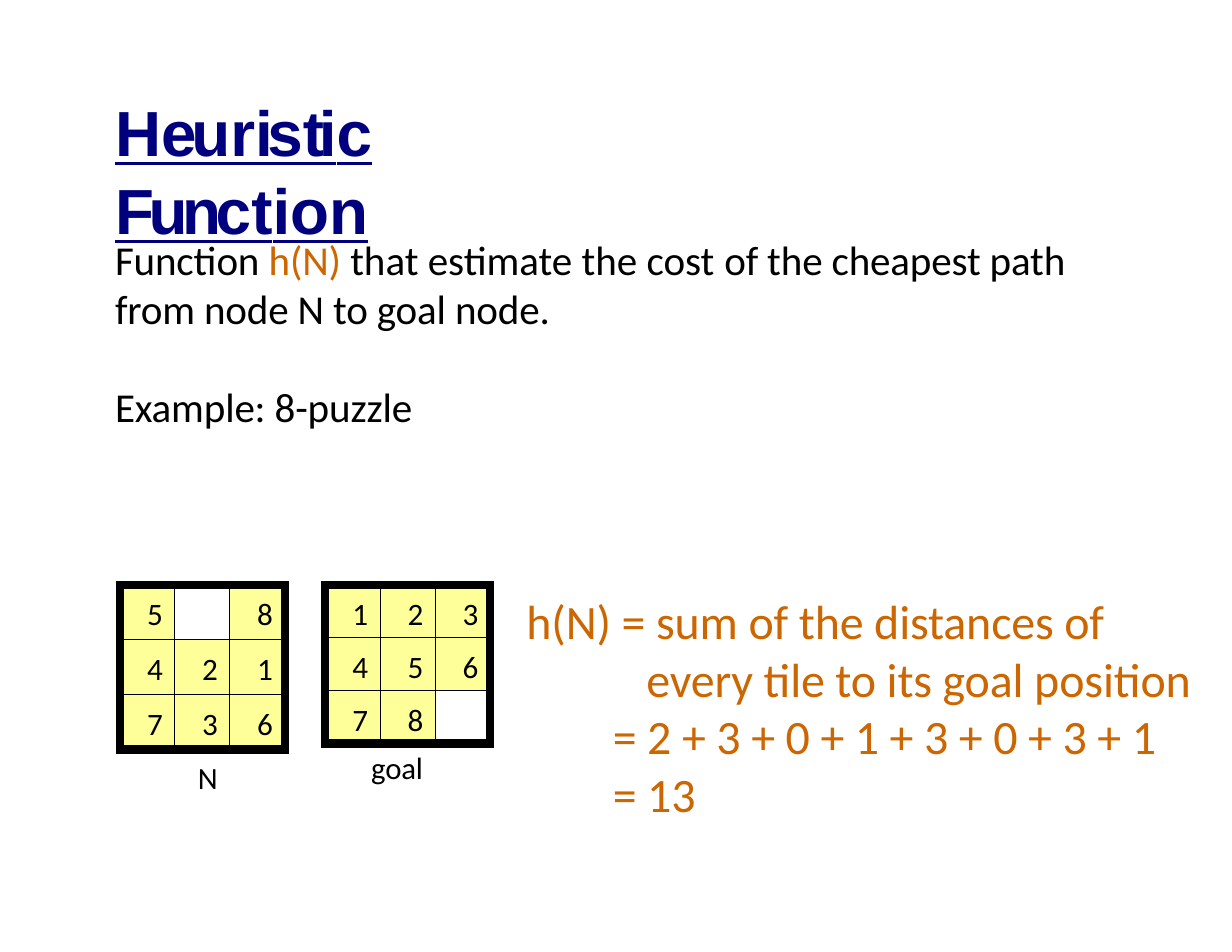
from dataclasses import dataclass
from itertools import cycle

from lxml import etree
from pptx import Presentation
from pptx import util as u
from pptx.dml.color import RGBColor
from pptx.enum import text as t
from pptx.oxml import ns


@dataclass(frozen=True)
class Theme:
    navy: str = "00007F"
    orange: str = "CC6600"
    black: str = "000000"
    tile: str = "FFFF99"
    heading_font: str = "Arial"
    body_font: str = "Calibri"
    title: float = 41
    formula: float = 30.8
    body: float = 26.4
    digit: float = 20
    label: float = 19.8
    thick: float = 6
    thin: float = 0.75


@dataclass(frozen=True)
class Box:
    left: float
    top: float
    width: float
    height: float


@dataclass(frozen=True)
class Puzzle:
    box: Box
    rows: tuple[str, ...]
    label: str
    label_box: Box


THEME = Theme()
TITLE_PIECES = ("H", "eu", "r", "is", "ti", "c", " ", "Func", "t", "i", "o", "n")
PUZZLES = (
    Puzzle(Box(7.37, 13.26, 3.75, 3.6), ("123", "456", "78 "),
           "goal", Box(8.38, 16.92, 1.27, 0.89)),
    Puzzle(Box(2.72, 13.26, 3.74, 3.74), ("5 8", "421", "736"),
           "N", Box(4.45, 17.15, 0.53, 0.89)),
)


def write(para, text: str, *, size: float, color: str = THEME.black,
          font: str = THEME.body_font, bold: bool = False,
          underline: bool = False, tracking: float = 0) -> None:
    span = para.add_run()
    span.text = text
    span.font.name = font
    span.font.size = u.Pt(size)
    span.font.bold = bold
    span.font.underline = underline
    span.font.color.rgb = RGBColor.from_string(color)
    span.font._element.set("spc", str(round(tracking * 100)))


def add_box(page, box: Box, inset: float = 0.05):
    shape = page.shapes.add_textbox(
        u.Cm(box.left), u.Cm(box.top), u.Cm(box.width), u.Cm(box.height))
    frame = shape.text_frame
    frame.word_wrap = True
    frame.vertical_anchor = t.MSO_ANCHOR.TOP
    frame.margin_left = frame.margin_right = frame.margin_bottom = 0
    frame.margin_top = u.Cm(inset)
    return frame


def indent(para, left: float, first: float = 0) -> None:
    properties = para._p.get_or_add_pPr()
    properties.set("marL", str(u.Cm(left)))
    properties.set("indent", str(u.Cm(first)))


def set_border(cell, side: str, width: float) -> None:
    properties = cell._tc.get_or_add_tcPr()
    line = etree.SubElement(properties, ns.qn(f"a:ln{side}"), w=str(u.Pt(width)))
    fill = etree.SubElement(line, ns.qn("a:solidFill"))
    etree.SubElement(fill, ns.qn("a:srgbClr"), val=THEME.black)


def add_puzzle(page, puzzle: Puzzle) -> None:
    box, count = puzzle.box, len(puzzle.rows)
    last = count - 1
    table = page.shapes.add_table(
        count, count, u.Cm(box.left), u.Cm(box.top),
        u.Cm(box.width), u.Cm(box.height)).table
    table.first_row = table.horz_banding = False
    for row, digits in enumerate(puzzle.rows):
        for column, digit in enumerate(digits):
            cell = table.cell(row, column)
            cell.margin_left = cell.margin_bottom = 0
            cell.margin_top = u.Cm(0.25)
            cell.margin_right = u.Cm(0.27)
            outer = {"L": column == 0, "R": column == last,
                     "T": row == 0, "B": row == last}
            for side, is_outer in outer.items():
                set_border(cell, side, THEME.thick if is_outer else THEME.thin)
            if digit == " ":
                cell.fill.background()
                continue
            cell.fill.solid()
            cell.fill.fore_color.rgb = RGBColor.from_string(THEME.tile)
            para = cell.text_frame.paragraphs[0]
            para.alignment = t.PP_ALIGN.RIGHT
            write(para, digit, size=THEME.digit)
    label = add_box(page, puzzle.label_box)
    label.word_wrap = False
    indent(label.paragraphs[0], 0.04)
    write(label.paragraphs[0], puzzle.label, size=THEME.label, tracking=-0.1)


def add_title(page) -> None:
    para = add_box(page, Box(2.57, 2.03, 8.97, 3.56)).paragraphs[0]
    indent(para, 0.04)
    para.line_spacing = u.Pt(50)
    for piece, tracking in zip(TITLE_PIECES, cycle((-3.4, -3.5))):
        write(para, piece, size=THEME.title, color=THEME.navy,
              font=THEME.heading_font, bold=True, underline=True,
              tracking=tracking)


def add_definition(page) -> None:
    frame = add_box(page, Box(2.57, 5.26, 21.82, 4.52))
    para = frame.paragraphs[0]
    indent(para, 0.04)
    write(para, "Function ", size=THEME.body, tracking=-0.1)
    write(para, "h(N) ", size=THEME.body, color=THEME.orange, tracking=-0.1)
    write(para, "that estimate the cost ", size=THEME.body)
    write(para, "of the cheapest path", size=THEME.body, tracking=-0.1)
    for text, gap in (("from node N to goal node.", 0), ("Example: 8-puzzle", 31.7)):
        para = frame.add_paragraph()
        indent(para, 0.04)
        para.space_before = u.Pt(gap)
        write(para, text, size=THEME.body, tracking=-0.1)


def add_formula(page) -> None:
    frame = add_box(page, Box(11.89, 13.39, 15.24, 5.31), inset=0.03)
    lines = (
        ("h(N) = sum of the distances of every tile to its goal position", 2.77, -2.72),
        ("= 2 + 3 + 0 + 1 + 3 + 0 + 3 + 1", 2.01, 0),
        ("= 13", 2.01, 0),
    )
    for number, (text, left, first) in enumerate(lines):
        para = frame.add_paragraph() if number else frame.paragraphs[0]
        indent(para, left, first)
        write(para, text, size=THEME.formula, color=THEME.orange, tracking=-0.1)


def main() -> None:
    deck = Presentation()
    deck.slide_width, deck.slide_height = u.Cm(27.94), u.Cm(21.59)
    page = deck.slides.add_slide(deck.slide_layouts[6])
    add_title(page)
    add_definition(page)
    for puzzle in PUZZLES:
        add_puzzle(page, puzzle)
    add_formula(page)
    deck.save("out.pptx")


if __name__ == "__main__":
    main()
